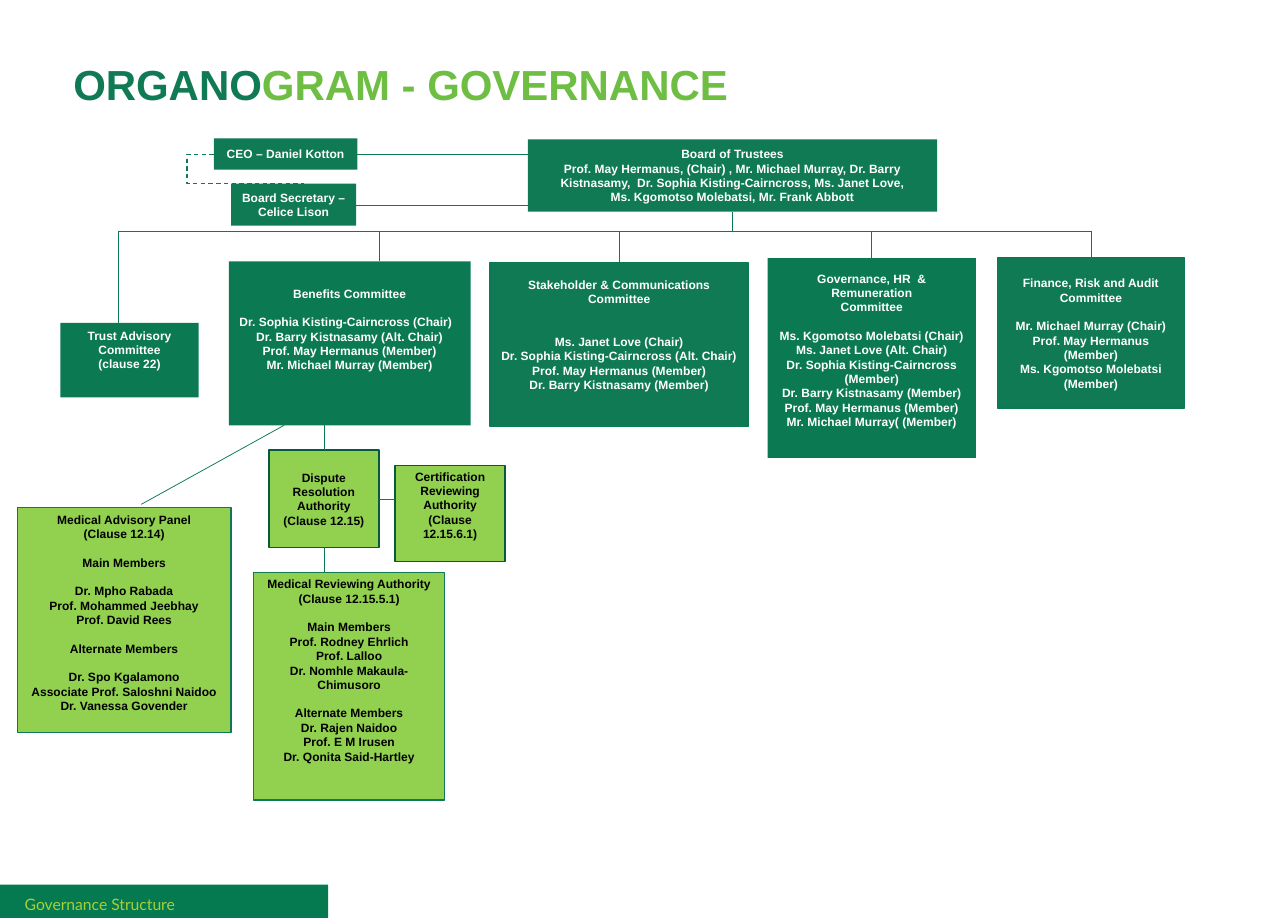
from lxml.etree import SubElement
from pptx import Presentation
from pptx.dml.color import RGBColor
from pptx.enum.dml import MSO_LINE
from pptx.enum.shapes import MSO_CONNECTOR, MSO_SHAPE
from pptx.enum.text import MSO_ANCHOR, PP_ALIGN
from pptx.oxml.ns import qn
from pptx.util import Pt

GREEN = RGBColor(0x10, 0x7A, 0x54)
COMMITTEE_GREEN = RGBColor(0x0B, 0x7A, 0x53)
FOOTER_GREEN = RGBColor(0x05, 0x7A, 0x51)
DARK_GREEN = RGBColor(0x08, 0x5A, 0x3D)
LIGHT_GREEN = RGBColor(0x92, 0xD0, 0x50)
TITLE_LIME = RGBColor(0x6E, 0xBE, 0x44)
FOOTER_LIME = RGBColor(0xA9, 0xCF, 0x37)
WHITE = RGBColor(0xFF, 0xFF, 0xFF)
BLACK = RGBColor(0, 0, 0)

# Content
TITLE = [("ORGANO", GREEN), ("GRAM - GOVERNANCE", TITLE_LIME)]
FOOTER = "Governance Structure"

# name: groups of lines, separated by a gap
MEMBERS = {
    "ceo": [["CEO – Daniel Kotton"]],
    "secretary": [["Board Secretary – Celice Lison"]],
    "board": [["Board of Trustees",
               "Prof. May Hermanus, (Chair) , Mr. Michael Murray, Dr. Barry Kistnasamy,  "
               "Dr. Sophia Kisting-Cairncross, Ms. Janet Love,",
               "Ms. Kgomotso Molebatsi, Mr. Frank Abbott"]],
    "trust": [["Trust Advisory Committee", "(clause 22)"]],
    "benefits": [["Benefits Committee"],
                 ["Dr. Sophia Kisting-Cairncross (Chair)", "Dr. Barry Kistnasamy (Alt. Chair)",
                  "Prof. May Hermanus (Member)", "Mr. Michael Murray (Member)"]],
    "stakeholder": [["Stakeholder & Communications Committee"],
                    ["Ms. Janet Love (Chair)", "Dr. Sophia Kisting-Cairncross (Alt. Chair)",
                     "Prof. May Hermanus (Member)", "Dr. Barry Kistnasamy (Member)"]],
    "governance": [["Governance, HR  & Remuneration", "Committee"],
                   ["Ms. Kgomotso Molebatsi (Chair)", "Ms. Janet Love (Alt. Chair)",
                    "Dr. Sophia Kisting-Cairncross (Member)", "Dr. Barry Kistnasamy (Member)",
                    "Prof. May Hermanus (Member)", "Mr. Michael Murray( (Member)"]],
    "finance": [["Finance, Risk and Audit Committee"],
                ["Mr. Michael Murray (Chair)", "Prof. May Hermanus (Member)",
                 "Ms. Kgomotso Molebatsi (Member)"]],
    "panel": [["Medical Advisory Panel", "(Clause 12.14)"],
              ["Main Members"],
              ["Dr. Mpho Rabada", "Prof. Mohammed Jeebhay", "Prof. David Rees"],
              ["Alternate Members"],
              ["Dr. Spo Kgalamono", "Associate Prof. Saloshni Naidoo", "Dr. Vanessa Govender"]],
    "dispute": [["Dispute Resolution Authority (Clause 12.15)"]],
    "certification": [["Certification Reviewing Authority", "(Clause 12.15.6.1)"]],
    "reviewing": [["Medical Reviewing Authority", "(Clause 12.15.5.1)"],
                  ["Main Members", "Prof. Rodney Ehrlich", "Prof. Lalloo",
                   "Dr. Nomhle Makaula-Chimusoro"],
                  ["Alternate Members", "Dr. Rajen Naidoo", "Prof. E M Irusen",
                   "Dr. Qonita Said-Hartley"]],
}

# name: left, top, width, height, fill, outline, top inset (None = centred)
BOXES = {
    "board": (352.1, 92.9, 272.9, 48.2, GREEN, None, None),
    "ceo": (142.6, 92.2, 95.8, 20.9, GREEN, None, None),
    "secretary": (154.1, 122.4, 83.5, 28.1, GREEN, None, None),
    "trust": (40.3, 215.3, 92.2, 49.7, COMMITTEE_GREEN, None, 3.6),
    "benefits": (152.6, 174.2, 161.3, 109.4, COMMITTEE_GREEN, None, 16.5),
    "stakeholder": (326.9, 175, 172.1, 109.4, GREEN, COMMITTEE_GREEN, 9.7),
    "governance": (511.9, 172.1, 139, 133.2, COMMITTEE_GREEN, None, 8.6),
    "finance": (665.3, 172.1, 124.6, 100.1, GREEN, COMMITTEE_GREEN, None),
    "panel": (11.5, 338.4, 142.6, 149.8, LIGHT_GREEN, COMMITTEE_GREEN, 3),
    "dispute": (179.3, 300.2, 73.4, 64.8, LIGHT_GREEN, DARK_GREEN, None),
    "certification": (263.5, 310.3, 73.4, 64.1, LIGHT_GREEN, DARK_GREEN, 2.5),
    "reviewing": (169.2, 381.6, 127.4, 151.9, LIGHT_GREEN, GREEN, 3),
}
GAP = 9.5
DOUBLE_GAP_BOXES = {"stakeholder"}
LEFT_ALIGNED = {("benefits", "Dr. Sophia Kisting-Cairncross (Chair)")}
BUS_TOP = 154.1
DROPS = {"trust": 79.2, "benefits": 252.7, "stakeholder": 412.9,
         "governance": 581, "finance": 727.9}

presentation = Presentation()
presentation.slide_width, presentation.slide_height = Pt(858.96), Pt(612)
slide = presentation.slides.add_slide(presentation.slide_layouts[6])


def add_run(paragraph, text, size, color, font="Arial", bold=True):
    run = paragraph.add_run()
    run.text = text
    run.font.size, run.font.name, run.font.bold = Pt(size), font, bold
    run.font.color.rgb = color


def add_rectangle(left, top, width, height, fill, outline=None):
    shape = slide.shapes.add_shape(MSO_SHAPE.RECTANGLE, Pt(left), Pt(top), Pt(width), Pt(height))
    shape.shadow.inherit = False
    shape.fill.solid()
    shape.fill.fore_color.rgb = fill
    if outline is None:
        shape.line.fill.background()
    else:
        shape.line.color.rgb = outline
        shape.line.width = Pt(1)
    return shape


def add_text_box(left, top, width, height):
    frame = slide.shapes.add_textbox(Pt(left), Pt(top), Pt(width), Pt(height)).text_frame
    frame.word_wrap = True
    return frame


def add_line(start, end, kind=MSO_CONNECTOR.STRAIGHT, width=0.5):
    line = slide.shapes.add_connector(kind, *(Pt(value) for value in (*start, *end)))
    line.line.color.rgb = COMMITTEE_GREEN
    line.line.width = Pt(width)
    SubElement(line._element.spPr, qn("a:effectLst"))
    return line


def add_box(name):
    left, top, width, height, fill, outline, inset = BOXES[name]
    frame = add_rectangle(left, top, width, height, fill, outline).text_frame
    frame.word_wrap = True
    frame.vertical_anchor = MSO_ANCHOR.MIDDLE if inset is None else MSO_ANCHOR.TOP
    if inset is not None:
        frame.margin_top = Pt(inset)
    color = BLACK if fill == LIGHT_GREEN else WHITE
    gap = GAP * 2 if name in DOUBLE_GAP_BOXES else GAP
    paragraph = frame.paragraphs[0]
    for group_index, group in enumerate(MEMBERS[name]):
        for line_index, text in enumerate(group):
            if group_index or line_index:
                paragraph = frame.add_paragraph()
            if group_index and not line_index:
                paragraph.space_before = Pt(gap)
            paragraph.alignment = PP_ALIGN.LEFT if (name, text) in LEFT_ALIGNED else PP_ALIGN.CENTER
            add_run(paragraph, text, 8, color)


# Title and footer
title = add_text_box(41.8, 15.8, 780.5, 84.2)
title.vertical_anchor = MSO_ANCHOR.MIDDLE
title.paragraphs[0].line_spacing = 0.9
for text, color in TITLE:
    add_run(title.paragraphs[0], text, 28, color)
add_rectangle(0, 589.7, 218.9, 22.3, FOOTER_GREEN)
footer = add_text_box(9.4, 593.3, 193, 15.1)
add_run(footer.paragraphs[0], FOOTER, 10.5, FOOTER_LIME, "Lato", False)

# Boxes
for name in BOXES:
    add_box(name)

# Board links and committee bus
board_left, board_top, board_width, board_height = BOXES["board"][:4]
board_middle = board_left + board_width / 2
for name, y in (("ceo", 103), ("secretary", 136.8)):
    add_line((BOXES[name][0] + BOXES[name][2], y), (board_left, y))
add_line((board_middle, board_top + board_height), (board_middle, BUS_TOP))
add_line((min(DROPS.values()), BUS_TOP), (max(DROPS.values()), BUS_TOP))
for name, x in DROPS.items():
    add_line((x, BUS_TOP), (x, BOXES[name][1]))

# Links below the Benefits Committee
dispute_left, dispute_top, dispute_width, dispute_height = BOXES["dispute"][:4]
dispute_middle = dispute_left + dispute_width / 2
benefits_bottom = BOXES["benefits"][1] + BOXES["benefits"][3]
add_line((94.3, 336.2), (189.4, benefits_bottom))
add_line((dispute_middle, benefits_bottom), (dispute_middle, dispute_top))
add_line((dispute_middle, dispute_top + dispute_height), (dispute_middle, BOXES["reviewing"][1]))
add_line((dispute_left + dispute_width, 332.6), (BOXES["certification"][0], 332.6))

# Dashed link from CEO to Board Secretary, bending out to the left
elbow = add_line((142.6, 103), (203, 122.4), MSO_CONNECTOR.ELBOW, 0.75)
elbow.line.dash_style = MSO_LINE.DASH
adjustments = elbow._element.spPr.find(qn("a:prstGeom")).find(qn("a:avLst"))
SubElement(adjustments, qn("a:gd"), name="adj1", fmla="val -29700")

presentation.save("out.pptx")
